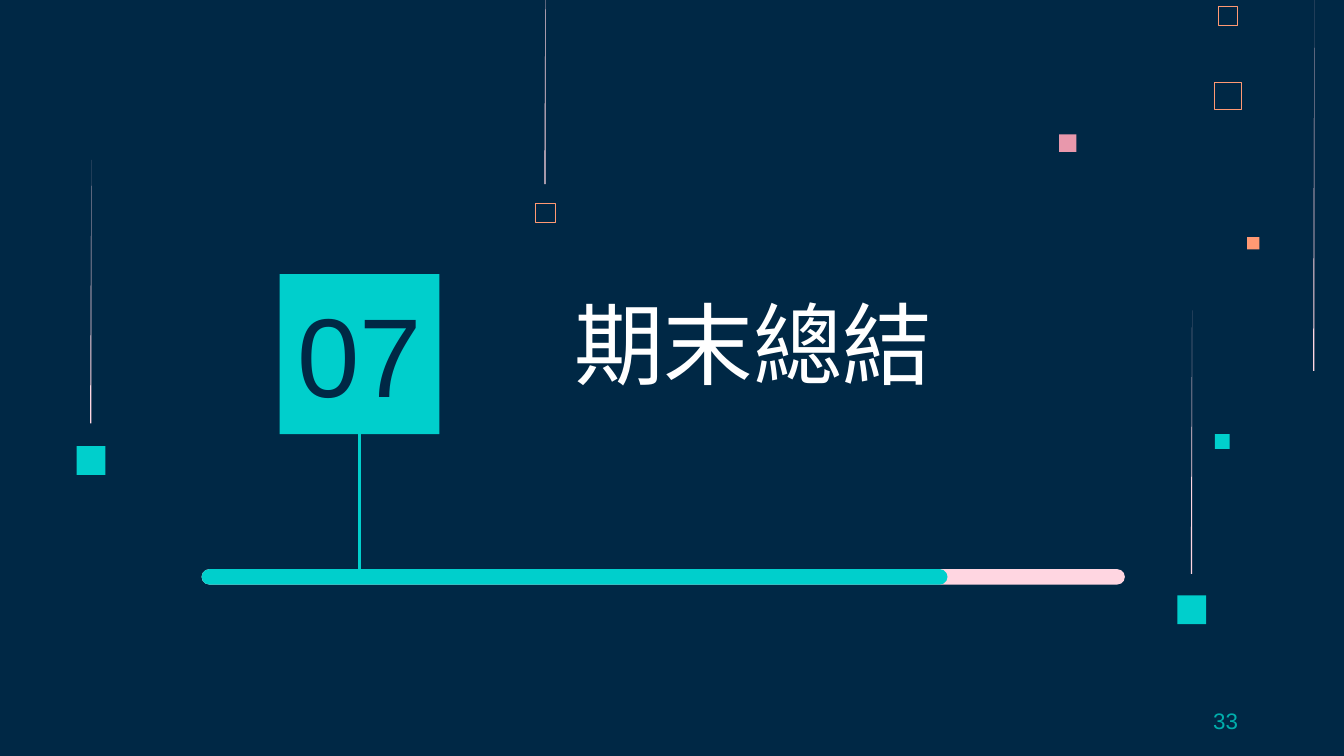
"""Build a section-opening slide with a number tile, a progress bar and falling squares."""
from lxml import etree
from pptx import Presentation
from pptx.dml.color import RGBColor
from pptx.enum.shapes import MSO_CONNECTOR, MSO_SHAPE as SHAPE
from pptx.enum.text import MSO_ANCHOR as ANCHOR, PP_ALIGN as ALIGN
from pptx.oxml.ns import qn
from pptx.util import Inches, Pt

NAVY = RGBColor(0x00, 0x28, 0x45)
TEAL = RGBColor(0x00, 0xCF, 0xCC)
DARK_TEAL = RGBColor(0x00, 0xAE, 0xAC)
ORANGE = RGBColor(0xFF, 0x99, 0x73)
ROSE = RGBColor(0xE8, 0x98, 0xAC)
PALE_PINK = RGBColor(0xFF, 0xD6, 0xE1)
WHITE = RGBColor(0xFF, 0xFF, 0xFF)
LATIN, CJK = "Arial", "Noto Sans CJK SC"

WIDTH = Inches(10)
HEIGHT = WIDTH * 9 // 16
CELL = WIDTH / 100

FILLED_SQUARES = [
    (78.8, 10, 1.3, ROSE),
    (90.4, 32.3, 1.1, TEAL),
    (92.8, 17.65, 0.9, ORANGE),
    (87.6, 44.3, 2.15, TEAL),
    (5.7, 33.2, 2.15, TEAL),
]
OUTLINED_SQUARES = [
    (90.35, 6.1, 2.05, 0.45),
    (90.65, 0.45, 1.45, 0.32),
    (39.85, 15.1, 1.45, 0.32),
]
TRAILS = [(40.5, -4.8, 18.5), (97.7, 0, 27.6), (88.6, 23.1, 19.6), (6.7, 11.9, 19.6)]


def grid(*cells):
    return [round(n * CELL) for n in cells]


def add_block(s, box, fill=None, line=None, weight=0, kind=SHAPE.RECTANGLE):
    sp = s.shapes.add_shape(kind, *grid(*box))
    sp.shadow.inherit = False
    if fill is None:
        sp.fill.background()
    else:
        sp.fill.solid()
        sp.fill.fore_color.rgb = fill
    if line is None:
        sp.line.fill.background()
    else:
        sp.line.color.rgb = line
        sp.line.width = Pt(weight)
    return sp


def add_trail(s, col, row, length):
    left, top, width, height = grid(col, row, 0.1, length)
    builder = s.shapes.build_freeform(left + width, top)
    builder.add_line_segments([(left, top + height), (left + width, top + height)])
    sp = builder.convert_to_shape()
    sp.shadow.inherit = False
    sp.fill.solid()
    sp.fill.fore_color.rgb = PALE_PINK
    sp.line.fill.background()


def add_bar(s, cols, color):
    sp = add_block(s, (15, 42.35, cols, 1.15), color, kind=SHAPE.ROUNDED_RECTANGLE)
    sp.adjustments[0] = 0.5


def add_stem(s, tile, row):
    x, y = tile.left + tile.width // 2, tile.top + tile.height
    line = s.shapes.add_connector(MSO_CONNECTOR.STRAIGHT, x, y, x, grid(row)[0])
    line.begin_connect(tile, 2)
    line.line.color.rgb = TEAL
    line.line.width = Pt(1.5)
    etree.SubElement(line._element.spPr, qn("a:effectLst"))


def write(sp, text, size, color, font, align, anchor):
    tf = sp.text_frame
    tf.text = text
    tf.word_wrap = True
    tf.vertical_anchor = anchor
    p = tf.paragraphs[0]
    p.alignment = align
    r = p.runs[0]
    r.font.size = Pt(size)
    r.font.name = font
    r.font.color.rgb = color
    etree.SubElement(r.font._element, qn("a:ea"), typeface=font)
    return tf


def set_margins(tf, cols):
    margin = grid(cols)[0]
    tf.margin_left = tf.margin_right = tf.margin_top = tf.margin_bottom = margin


def add_title(s, text):
    sp = s.shapes.title
    sp.left, sp.top, sp.width, sp.height = grid(41.7, 22.3, 28.7, 8.2)
    set_margins(write(sp, text, 48, WHITE, CJK, ALIGN.CENTER, ANCHOR.BOTTOM), 1)


def add_label(s, box, *style):
    return write(s.shapes.add_textbox(*grid(*box)), *style)


def main():
    prs = Presentation()
    prs.slide_width, prs.slide_height = WIDTH, HEIGHT
    s = prs.slides.add_slide(prs.slide_layouts[5])
    s.background.fill.solid()
    s.background.fill.fore_color.rgb = NAVY

    for col, row, side, color in FILLED_SQUARES:
        add_block(s, (col, row, side, side), color)
    for col, row, side, weight in OUTLINED_SQUARES:
        add_block(s, (col, row, side, side), line=ORANGE, weight=weight)
    for trail in TRAILS:
        add_trail(s, *trail)

    add_title(s, "期末總結")
    tile = add_block(s, (20.8, 20.4, 11.9, 11.9), TEAL)
    number = add_label(s, (19.8, 23.1, 13.9, 6.3), "07", 60, NAVY, LATIN,
                       ALIGN.CENTER, ANCHOR.MIDDLE)
    set_margins(number, 1)
    add_bar(s, 68.7, PALE_PINK)
    add_bar(s, 55.5, TEAL)
    add_stem(s, tile, 43)
    add_label(s, (70.6, 52.15, 22.5, 3), "33", 12, DARK_TEAL, LATIN,
              ALIGN.RIGHT, ANCHOR.MIDDLE)
    prs.save("out.pptx")


if __name__ == "__main__":
    main()
